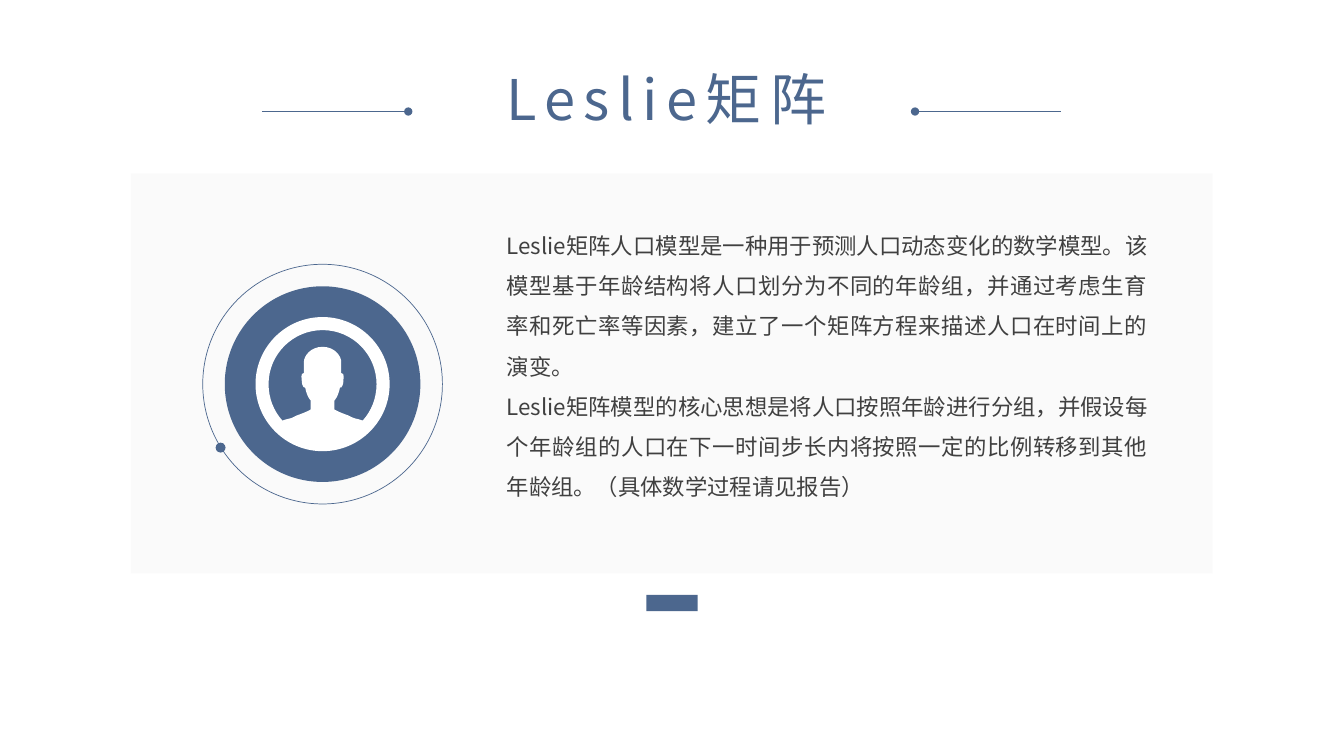
from dataclasses import dataclass
from typing import Optional

from lxml.etree import SubElement
from pptx import Presentation
from pptx.dml.color import RGBColor
from pptx.enum.shapes import MSO_CONNECTOR, MSO_SHAPE
from pptx.enum.text import MSO_AUTO_SIZE, PP_ALIGN
from pptx.oxml.ns import qn
from pptx.util import Cm, Pt

BLUE = RGBColor(0x4C, 0x67, 0x8E)
PALE = RGBColor(0xF2, 0xF2, 0xF2)
DARK = RGBColor(0x40, 0x40, 0x40)
WHITE = RGBColor(0xFF, 0xFF, 0xFF)
FONT = "Noto Sans CJK SC"

TITLE = "Leslie矩阵"
BODY = [
    "Leslie矩阵人口模型是一种用于预测人口动态变化的数学模型。该模型基于年龄结构将人口划分为"
    "不同的年龄组，并通过考虑生育率和死亡率等因素，建立了一个矩阵方程来描述人口在时间上的演变。",
    "Leslie矩阵模型的核心思想是将人口按照年龄进行分组，并假设每个年龄组的人口在下一时间步长内"
    "将按照一定的比例转移到其他年龄组。（具体数学过程请见报告）",
]


@dataclass
class Box:
    left: float
    top: float
    width: float
    height: float

    def emu(self) -> tuple:
        return Cm(self.left), Cm(self.top), Cm(self.width), Cm(self.height)


@dataclass
class Disc:
    x: float
    y: float
    diameter: float
    fill: Optional[RGBColor]

    def box(self) -> Box:
        d = self.diameter
        return Box(self.x - d / 2, self.y - d / 2, d, d)


@dataclass
class TextStyle:
    size: float
    color: RGBColor
    align: PP_ALIGN
    line_spacing: float = 1.0
    tracking: int = 0  # hundredths of a point


CX, CY = 8.13, 9.68  # centre of the badge
DISCS = [
    Disc(CX, CY, 6.04, None),
    Disc(CX, CY, 4.93, BLUE),
    Disc(5.56, 11.28, 0.25, BLUE),
]
# Title rules: outer end, inner end with the dot
RULES = [(6.6, 10.29), (26.73, 23.06)]
RULE_Y = 2.81

# Left halves of the icon outlines: Bézier points measured from its centre
RADIUS = 1.69
RIM = [(0, 1.69), (-0.93, 1.69), (-1.69, 0.93), (-1.69, 0),
       (-1.69, -0.93), (-0.93, -1.69), (0, -1.69)]
BUST = [
    (0, -1.36),
    (-0.75, -1.36), (-1.36, -0.75), (-1.36, 0),
    (-1.36, 0.35), (-1.23, 0.68), (-1.01, 0.92),
    (-0.8, 0.84), (-0.88, 0.91), (-0.65, 0.79),
    (-0.37, 0.69), (-0.3, 0.64), (-0.3, 0.64),
    (-0.3, 0.41), (-0.3, 0.41), (-0.3, 0.41),
    (-0.3, 0.41), (-0.39, 0.33), (-0.44, 0.08),
    (-0.47, 0.13), (-0.52, 0), (-0.52, -0.03),
    (-0.52, -0.13), (-0.57, -0.28), (-0.47, -0.28),
    (-0.47, -0.38), (-0.47, -0.46), (-0.47, -0.56),
    (-0.47, -0.71), (-0.3, -0.94), (0, -0.94),
]


def add_shape(slide, kind: MSO_SHAPE, box: Box, fill: Optional[RGBColor]):
    sp = slide.shapes.add_shape(kind, *box.emu())
    sp.shadow.inherit = False
    if fill is None:
        sp.fill.background()
        sp.line.color.rgb = BLUE
        sp.line.width = Pt(0.5)
    else:
        sp.fill.solid()
        sp.fill.fore_color.rgb = fill
        sp.line.fill.background()
    return sp


def add_text(slide, box: Box, paragraphs: list, style: TextStyle) -> None:
    tf = slide.shapes.add_textbox(*box.emu()).text_frame
    tf.word_wrap = True
    tf.auto_size = MSO_AUTO_SIZE.SHAPE_TO_FIT_TEXT
    tf.text = "\n".join(paragraphs)
    for p in tf.paragraphs:
        p.alignment = style.align
        p.line_spacing = style.line_spacing
        for r in p.runs:
            r.font.size = Pt(style.size)
            r.font.name = FONT
            r.font.color.rgb = style.color
            rPr = r.font._element
            SubElement(rPr, qn("a:ea")).set("typeface", FONT)
            if style.tracking:
                rPr.set("spc", str(style.tracking))


def add_rule(slide, start: float, end: float) -> None:
    rule = slide.shapes.add_connector(
        MSO_CONNECTOR.STRAIGHT, Cm(start), Cm(RULE_Y), Cm(end), Cm(RULE_Y))
    rule.line.color.rgb = BLUE
    rule.line.width = Pt(0.5)
    SubElement(rule.line._get_or_add_ln(), qn("a:tailEnd")).set("type", "oval")
    SubElement(rule._element.spPr, qn("a:effectLst"))


def add_curves(path, half: list) -> None:
    """Close a half outline with its mirror image and add it as curves."""
    points = half + [(-x, y) for x, y in reversed(half[:-1])]

    def add_point(parent, x: float, y: float) -> None:
        pt = SubElement(parent, qn("a:pt"))
        pt.set("x", str(Cm(RADIUS + x)))
        pt.set("y", str(Cm(RADIUS + y)))

    add_point(SubElement(path, qn("a:moveTo")), *points[0])
    for i in range(1, len(points), 3):
        curve = SubElement(path, qn("a:cubicBezTo"))
        for point in points[i:i + 3]:
            add_point(curve, *point)
    SubElement(path, qn("a:close"))


def add_person(slide) -> None:
    left, top = Cm(CX - RADIUS), Cm(CY - RADIUS)
    right, bottom = Cm(CX + RADIUS), Cm(CY + RADIUS)
    builder = slide.shapes.build_freeform(left, top)
    builder.add_line_segments([(right, top), (right, bottom), (left, bottom)])
    sp = builder.convert_to_shape()
    path = sp._element.spPr.find(".//" + qn("a:path"))
    for segment in list(path):
        path.remove(segment)
    for half in (RIM, BUST):
        add_curves(path, half)
    sp.shadow.inherit = False
    sp.fill.solid()
    sp.fill.fore_color.rgb = WHITE
    sp.line.fill.background()


def main() -> None:
    prs = Presentation()
    prs.slide_width, prs.slide_height = Cm(33.87), Cm(19.05)
    slide = prs.slides.add_slide(prs.slide_layouts[6])

    # Title between two rules
    add_text(slide, Box(11, 1.5, 11.58, 1.96), [TITLE],
             TextStyle(40, BLUE, PP_ALIGN.CENTER, tracking=600))
    for start, end in RULES:
        add_rule(slide, start, end)

    # Translucent panel and accent bar
    panel = add_shape(slide, MSO_SHAPE.RECTANGLE, Box(3.3, 4.37, 27.26, 10.08), PALE)
    color = panel.fill._xPr.find(qn("a:solidFill"))[0]
    SubElement(color, qn("a:alpha")).set("val", "33000")
    add_shape(slide, MSO_SHAPE.RECTANGLE, Box(16.29, 14.99, 1.29, 0.41), BLUE)

    # Body text
    add_text(slide, Box(12.52, 5.38, 16.66, 7.32), BODY,
             TextStyle(16, DARK, PP_ALIGN.JUSTIFY, line_spacing=1.5))

    # Badge with the person icon
    for disc in DISCS:
        add_shape(slide, MSO_SHAPE.OVAL, disc.box(), disc.fill)
    add_person(slide)

    prs.save("out.pptx")


if __name__ == "__main__":
    main()
